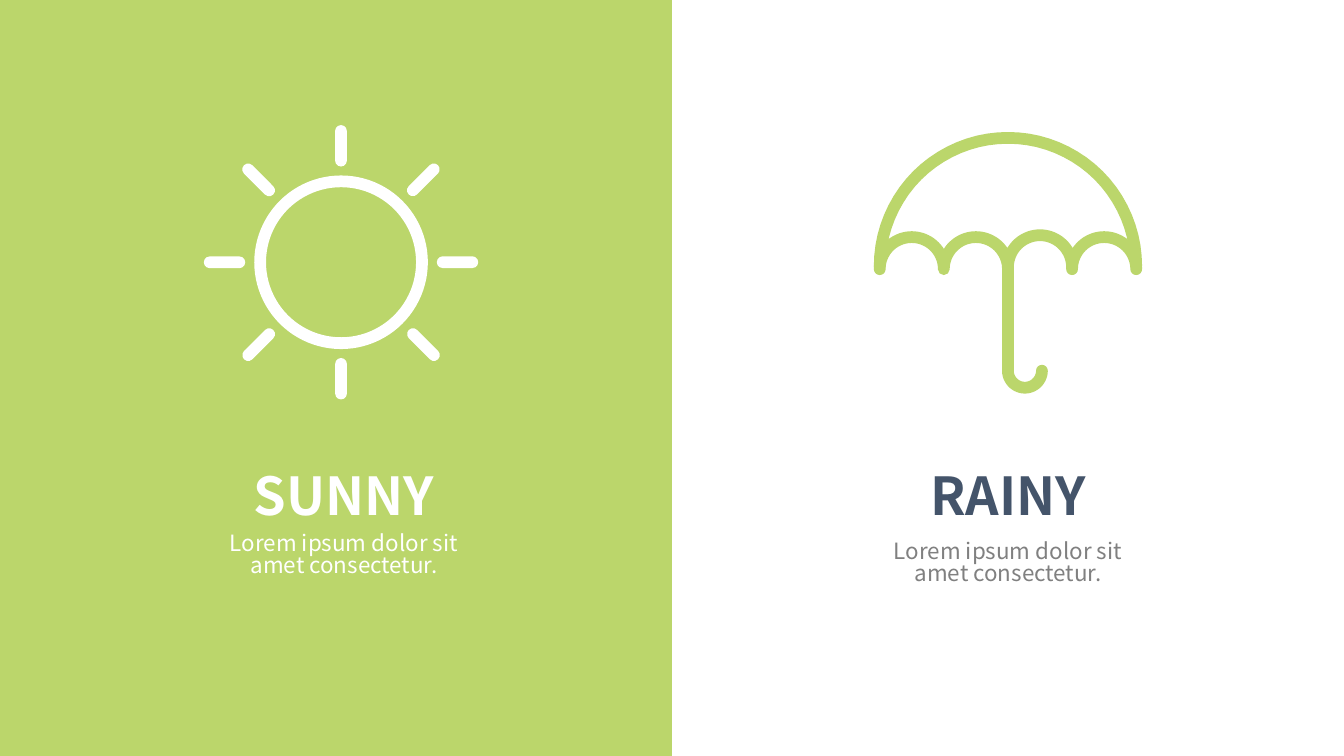
import math

import pptx
import pptx.dml.color
import pptx.enum.shapes
import pptx.enum.text
import pptx.util

Pt = pptx.util.Pt
SHAPE = pptx.enum.shapes.MSO_SHAPE
ANCHOR = pptx.enum.text.MSO_ANCHOR

# Content: heading, text, and their colours, left edges and tops
FONT = "Noto Sans CJK SC"
GREEN, WHITE, NAVY, GRAY = "BBD66B", "FFFFFF", "44546A", "808080"
DESCRIPTION = "Lorem ipsum dolor sit amet consectetur."
PANELS = [
    {"heading": "SUNNY", "heading_color": WHITE, "text": DESCRIPTION,
     "text_color": WHITE, "left": 101.5, "text_top": 282.2},
    {"heading": "RAINY", "heading_color": NAVY, "text": DESCRIPTION,
     "text_color": GRAY, "left": 457.2, "text_top": 286.6},
]

# Icon measures
STROKE = 6.3
SUN_X, SUN_Y, SUN_RADIUS = 182.7, 140.5, 46.5
RAY_LENGTH, RAY_DISTANCE = 22.2, 62.4
UMBRELLA_X, CANOPY_Y, CANOPY_RADIUS = 540, 142.6, 68.7
SCALLOP_BASELINES = [144.2, 144.2, 143.2, 144.2]
HANDLE_TOP, HANDLE_HEIGHT = 139, 62.6
HOOK_Y, HOOK_RADIUS = 198.6, 9.1


def rgb(color):
    return pptx.dml.color.RGBColor.from_string(color)


def add_filled(kind, left, top, width, height, color):
    shape = slide.shapes.add_shape(kind, Pt(left), Pt(top), Pt(width), Pt(height))
    shape.shadow.inherit = False
    shape.fill.solid()
    shape.fill.fore_color.rgb = rgb(color)
    shape.line.fill.background()
    return shape


def add_bar(center_x, center_y, width, height, color, rotation=0):
    bar = add_filled(SHAPE.ROUNDED_RECTANGLE, center_x - width / 2,
                     center_y - height / 2, width, height, color)
    bar.adjustments[0] = 0.5
    bar.rotation = rotation


def arc(center_x, center_y, radius, start, end, steps=40):
    angles = [math.radians(start + (end - start) * step / steps)
              for step in range(steps + 1)]
    return [(center_x + radius * math.cos(angle), center_y + radius * math.sin(angle))
            for angle in angles]


def add_stroke(points, color):
    points = [(Pt(x), Pt(y)) for x, y in points]
    builder = slide.shapes.build_freeform(*points[0])
    builder.add_line_segments(points[1:], close=False)
    shape = builder.convert_to_shape()
    shape.shadow.inherit = False
    shape.fill.background()
    shape.line.color.rgb = rgb(color)
    shape.line.width = Pt(STROKE)
    outline = shape.line._get_or_add_ln()
    outline.set("cap", "rnd")
    outline.append(outline.makeelement(pptx.oxml.ns.qn("a:round"), {}))


def write(shape, text, left, top, width, height, size, color, anchor, bold, spacing):
    shape.left, shape.top, shape.width, shape.height = map(Pt, (left, top, width, height))
    frame = shape.text_frame
    frame.text = text
    frame.word_wrap = True
    frame.auto_size = pptx.enum.text.MSO_AUTO_SIZE.NONE
    frame.vertical_anchor = anchor
    paragraph = frame.paragraphs[0]
    paragraph.alignment = pptx.enum.text.PP_ALIGN.CENTER
    paragraph.line_spacing = spacing
    paragraph.space_before = Pt(0)
    font = paragraph.runs[0].font
    font.name, font.size, font.bold = FONT, Pt(size), bold
    font.color.rgb = rgb(color)


def add_text_box():
    return slide.shapes.add_textbox(0, 0, Pt(100), Pt(50))


presentation = pptx.Presentation()
presentation.slide_width, presentation.slide_height = Pt(720), Pt(405)
slide = presentation.slides.add_slide(presentation.slide_layouts[5])

# Left panel
add_filled(SHAPE.RECTANGLE, -1.5, 0, 361.5, 405, GREEN)

# Sun: ring and eight rays
ring = add_filled(SHAPE.DONUT, SUN_X - SUN_RADIUS, SUN_Y - SUN_RADIUS,
                  2 * SUN_RADIUS, 2 * SUN_RADIUS, WHITE)
ring.adjustments[0] = STROKE / (2 * SUN_RADIUS)
for angle in range(0, 360, 45):
    direction = math.radians(angle)
    add_bar(SUN_X + RAY_DISTANCE * math.cos(direction),
            SUN_Y + RAY_DISTANCE * math.sin(direction),
            RAY_LENGTH, STROKE, WHITE, angle)

# Umbrella: canopy, scalloped edge, handle and hook
add_stroke(arc(UMBRELLA_X, CANOPY_Y, CANOPY_RADIUS, 180, 360), GREEN)
scallop_radius = CANOPY_RADIUS / len(SCALLOP_BASELINES)
edge = []
for index, baseline in enumerate(SCALLOP_BASELINES):
    center_x = UMBRELLA_X - CANOPY_RADIUS + (2 * index + 1) * scallop_radius
    edge += arc(center_x, baseline, scallop_radius, 180, 360)
add_stroke(edge, GREEN)
add_bar(UMBRELLA_X, HANDLE_TOP + HANDLE_HEIGHT / 2, STROKE, HANDLE_HEIGHT, GREEN)
add_stroke(arc(UMBRELLA_X + HOOK_RADIUS, HOOK_Y, HOOK_RADIUS, 180, 0), GREEN)

# Headings and descriptions; the title placeholder goes above the panel
title = slide.shapes.title
slide.shapes._spTree.append(title._element)
for index, panel in enumerate(PANELS):
    write(add_text_box(), panel["text"], panel["left"] + 0.7, panel["text_top"],
          164.2, 55.4, 12, panel["text_color"], ANCHOR.TOP, False, 0.83)
    write(title if index == 0 else add_text_box(), panel["heading"], panel["left"],
          229.7, 165.6, 70.6, 28, panel["heading_color"], ANCHOR.MIDDLE, True, 1.0)

presentation.save("out.pptx")
